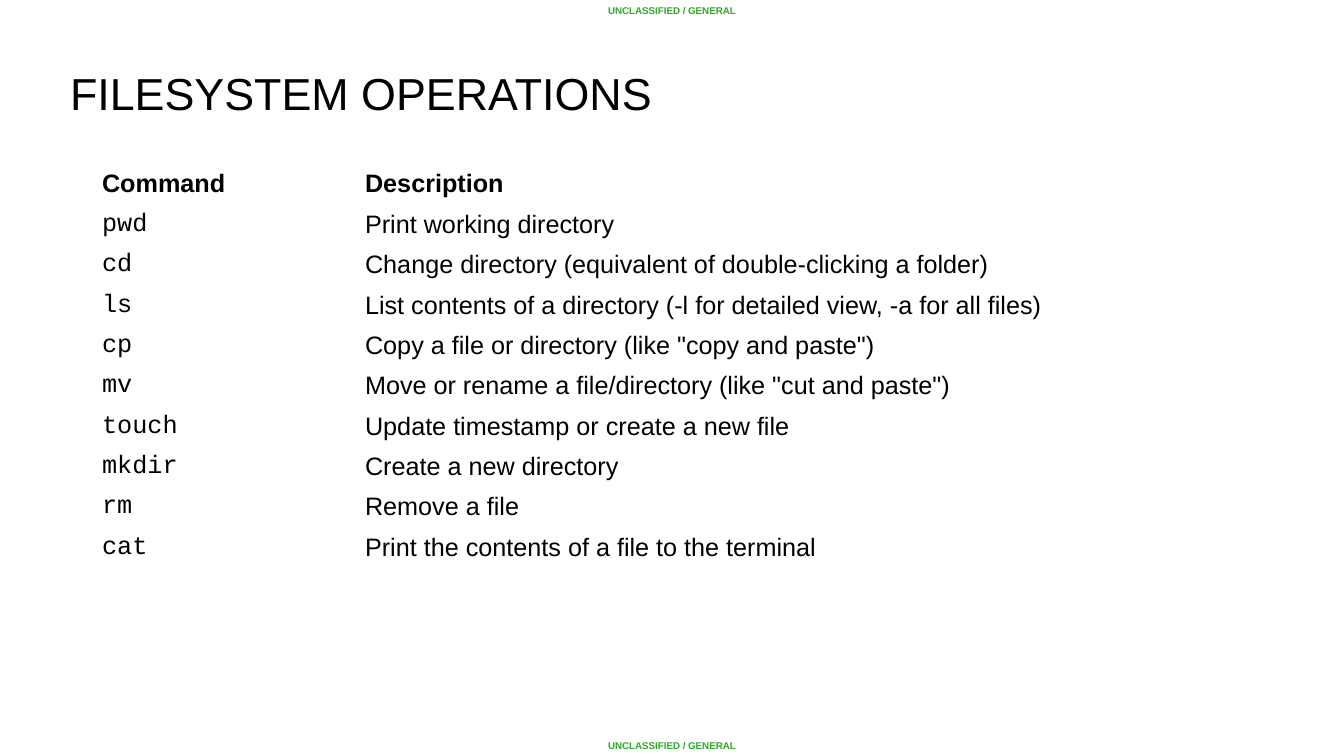
import pptx
import pptx.dml.color
import pptx.enum.text
import pptx.util

SCALE = 914400 / 100.8
COLORS = {"background": "FFFFFF", "text": "000000", "marking": "2DAA27"}
ANCHOR = pptx.enum.text.MSO_ANCHOR
ALIGN = pptx.enum.text.PP_ALIGN

MARKING = "UNCLASSIFIED / GENERAL"
COMMANDS = [
    ("Command", "Description"),
    ("pwd", "Print working directory"),
    ("cd", "Change directory (equivalent of double-clicking a folder)"),
    ("ls", "List contents of a directory (-l for detailed view, -a for all files)"),
    ("cp", 'Copy a file or directory (like "copy and paste")'),
    ("mv", 'Move or rename a file/directory (like "cut and paste")'),
    ("touch", "Update timestamp or create a new file"),
    ("mkdir", "Create a new directory"),
    ("rm", "Remove a file"),
    ("cat", "Print the contents of a file to the terminal"),
]


def px(length):
    """Turn a length in px into EMU."""
    return pptx.util.Emu(round(length * SCALE))


def set_values(target, values):
    """Set each attribute of the target from a dict."""
    for name, value in values.items():
        setattr(target, name, value)


def write_text(text_frame, text, size, color="text", font="Arial", bold=False, **paragraph_values):
    """Write one formatted paragraph into a text frame."""
    paragraph = text_frame.paragraphs[0]
    set_values(paragraph, paragraph_values)
    run = paragraph.add_run()
    run.text = text
    set_values(run.font, {"name": font, "size": pptx.util.Pt(size), "bold": bold})
    run.font.color.rgb = pptx.dml.color.RGBColor.from_string(COLORS[color])


def add_marking(slide, box, anchor):
    """Place a classification marking in the box."""
    text_frame = slide.shapes.add_textbox(*map(px, box)).text_frame
    set_values(text_frame, {
        "word_wrap": True, "vertical_anchor": anchor,
        "margin_left": 0, "margin_right": 0,
        "margin_top": px(5), "margin_bottom": px(5),
    })
    write_text(text_frame, MARKING, 7, "marking", bold=True, alignment=ALIGN.CENTER)


def place_title(slide, box, text):
    """Move the title placeholder to the box and write its text."""
    title = slide.shapes.title
    set_values(title, dict(zip(("left", "top", "width", "height"), map(px, box))))
    set_values(title.text_frame, {
        "word_wrap": True, "vertical_anchor": ANCHOR.MIDDLE,
        "auto_size": pptx.enum.text.MSO_AUTO_SIZE.NONE,
    })
    write_text(title.text_frame, text, 32, alignment=ALIGN.LEFT, line_spacing=0.9)


def add_command_table(slide, box, command_width, row_height):
    """Place the table of commands and descriptions in the box."""
    frame = slide.shapes.add_table(len(COMMANDS), 2, *map(px, box))
    table = frame.table
    set_values(table, {"first_row": False, "horz_banding": False})
    for column, width in zip(table.columns, (command_width, box[2] - command_width)):
        column.width = px(width)
    for row_index, texts in enumerate(COMMANDS):
        table.rows[row_index].height = px(row_height)
        header = row_index == 0
        for column_index, text in enumerate(texts):
            cell = table.cell(row_index, column_index)
            cell.fill.background()
            cell.vertical_anchor = ANCHOR.MIDDLE
            is_code = column_index == 0 and not header
            font = "Courier New" if is_code else "Arial"
            write_text(cell.text_frame, text, 18, font=font, bold=header)
    frame.height = px(box[3])


def build_slide(presentation):
    """Build the slide of filesystem commands."""
    slide = presentation.slides.add_slide(presentation.slide_layouts[5])
    slide.background.fill.solid()
    slide.background.fill.fore_color.rgb = pptx.dml.color.RGBColor.from_string(COLORS["background"])
    add_marking(slide, (153, 734, 1038, 22), ANCHOR.BOTTOM)
    add_marking(slide, (153, 0, 1038, 22), ANCHOR.TOP)
    place_title(slide, (60, 45, 907, 101), "FILESYSTEM OPERATIONS")
    add_command_table(slide, (92, 164, 1159, 403), 263, 25)


def main():
    """Create and save the presentation."""
    presentation = pptx.Presentation()
    set_values(presentation, {"slide_width": px(1344), "slide_height": px(756)})
    build_slide(presentation)
    presentation.save("out.pptx")


if __name__ == "__main__":
    main()
